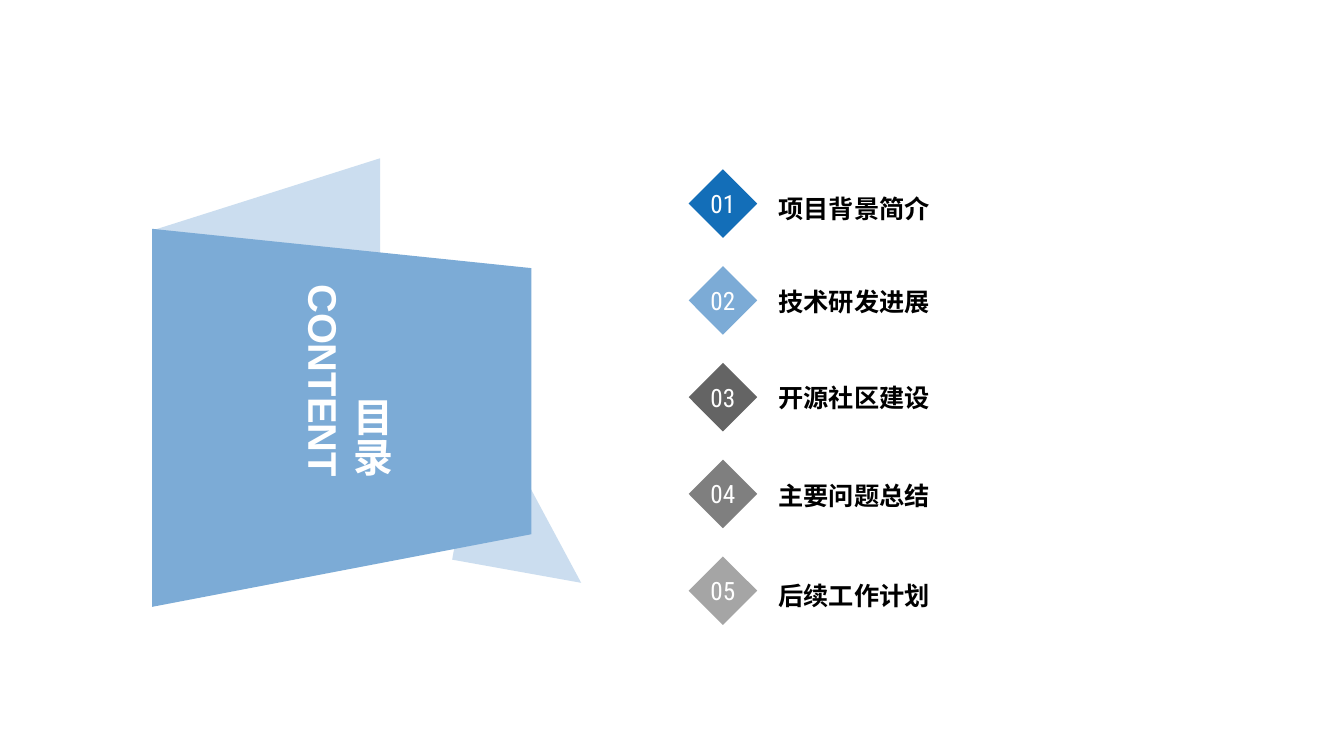
import pptx
import pptx.util
import pptx.dml.color
import pptx.enum.shapes
import pptx.enum.text
import pptx.oxml.ns
import lxml.etree

Inches = pptx.util.Inches
Pt = pptx.util.Pt
RGBColor = pptx.dml.color.RGBColor
Shape = pptx.enum.shapes.MSO_SHAPE
Align = pptx.enum.text.PP_ALIGN
Anchor = pptx.enum.text.MSO_ANCHOR
Fit = pptx.enum.text.MSO_AUTO_SIZE

WHITE = RGBColor(0xFF, 0xFF, 0xFF)
BLACK = RGBColor(0, 0, 0)
PALE = RGBColor(0xCB, 0xDD, 0xEF)
SKY = RGBColor(0x7C, 0xAB, 0xD6)
BLUE = RGBColor(0x13, 0x6E, 0xB8)
DARK = RGBColor(0x64, 0x64, 0x64)
GRAY = RGBColor(0x7F, 0x7F, 0x7F)
LIGHT = RGBColor(0xA5, 0xA5, 0xA5)

HEAD = "目录\vCONTENT"
ITEMS = [
    ("项目背景简介", BLUE, 0),
    ("技术研发进展", SKY, 43),
    ("开源社区建设", DARK, 44),
    ("主要问题总结", GRAY, 46),
    ("后续工作计划", LIGHT, 47.5),
]
FOLDS = [
    (Shape.RIGHT_TRIANGLE, (4.62, 4.04, 1.3, 1.64), 10.2),
    (Shape.ISOSCELES_TRIANGLE, (1.94, 1.16, 1.42, 2.24), 270),
]
PANEL = [(1.51, 2.27), (5.27, 2.66), (5.27, 5.3), (1.51, 6.02)]
LEFT, TOP, SIDE, STEP = 6.83, 1.68, 0.68, 0.96

HEADFONT = {"name": "Arial", "size": Pt(28.5), "bold": True}
ITEMFONT = {"name": "Arial", "size": Pt(18), "bold": True}
NUMFONT = {"name": "Roboto Condensed", "size": Pt(18), "bold": False}
HEADBOX = {"auto_size": Fit.NONE, "word_wrap": True,
           "vertical_anchor": Anchor.TOP}
LISTBOX = dict(HEADBOX, margin_top=Inches(0.05))
NUMBOX = {"margin_left": 0, "margin_right": 0, "margin_top": 0,
          "margin_bottom": 0, "word_wrap": False,
          "vertical_anchor": Anchor.MIDDLE}


def put(obj, values):
    for key, val in values.items():
        setattr(obj, key, val)


def place(shape, box):
    keys = ("left", "top", "width", "height")
    put(shape, dict(zip(keys, map(Inches, box))))


def ink(font, values, color):
    put(font, values)
    font.color.rgb = color


def paint(shape, color):
    shape.shadow.inherit = False
    shape.fill.solid()
    shape.fill.fore_color.rgb = color
    shape.line.fill.background()


def main():
    deck = pptx.Presentation()
    deck.slide_width, deck.slide_height = Inches(13.33), Inches(7.5)
    slide = deck.slides.add_slide(deck.slide_layouts[1])
    shapes = slide.shapes

    for kind, box, turn in FOLDS:
        fold = shapes.add_shape(kind, *map(Inches, box))
        fold.rotation = turn
        paint(fold, PALE)

    dots = [(Inches(x), Inches(y)) for x, y in PANEL]
    pen = shapes.build_freeform(*dots[0])
    pen.add_line_segments(dots[1:], close=True)
    paint(pen.convert_to_shape(), SKY)

    head = shapes.title
    place(head, (2.52, 2.77, 1.51, 2.11))
    frame = head.text_frame
    put(frame, HEADBOX)
    frame.text = HEAD
    frame.paragraphs[0].alignment = Align.RIGHT
    for run in frame.paragraphs[0].runs:
        ink(run.font, HEADFONT, WHITE)
    head.element.txBody.bodyPr.set("vert", "eaVert")
    head.element.getparent().append(head.element)

    body = slide.placeholders[1]
    place(body, (7.62, 1.83, 3.95, 4.4))
    frame = body.text_frame
    put(frame, LISTBOX)
    frame.text = "\n".join(item[0] for item in ITEMS)

    for row, (para, item) in enumerate(zip(frame.paragraphs, ITEMS)):
        label, color, gap = item
        props = para._p.get_or_add_pPr()
        props.set("marL", "0")
        props.set("indent", "0")
        lxml.etree.SubElement(props, pptx.oxml.ns.qn("a:buNone"))
        put(para, {"line_spacing": Pt(24), "space_before": Pt(gap),
                   "space_after": Pt(0), "alignment": Align.LEFT})
        ink(para.runs[0].font, ITEMFONT, BLACK)

        box = (LEFT, TOP + row * STEP, SIDE, SIDE)
        mark = shapes.add_shape(Shape.DIAMOND, *map(Inches, box))
        paint(mark, color)
        put(mark.text_frame, NUMBOX)
        mark.text_frame.text = f"{row + 1:02d}"
        line = mark.text_frame.paragraphs[0]
        line.alignment = Align.CENTER
        ink(line.runs[0].font, NUMFONT, WHITE)

    deck.save("out.pptx")


if __name__ == "__main__":
    main()
